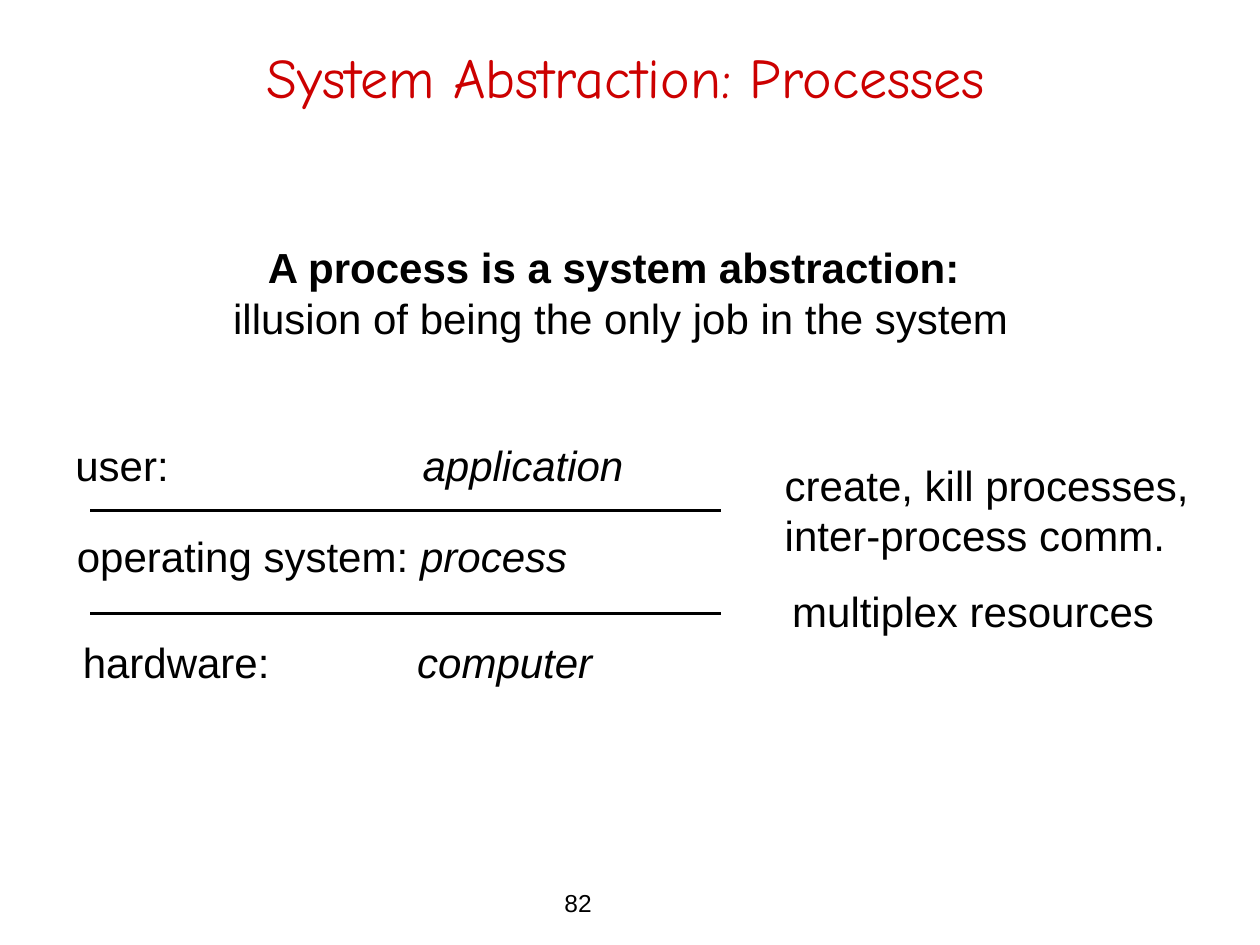
"""Build a slide on processes as a system abstraction."""
import pptx
import pptx.dml.color
import pptx.enum.shapes
import pptx.enum.text
import pptx.oxml.ns
import pptx.util
from lxml import etree
from pptx.util import Cm

BLACK = pptx.dml.color.RGBColor(0, 0, 0)
RED = pptx.dml.color.RGBColor(0xCC, 0, 0)
ALIGN = pptx.enum.text.PP_ALIGN
ANCHOR = pptx.enum.text.MSO_ANCHOR


def add_text_box(slide, left, top, width, height, anchor=ANCHOR.TOP):
    text_box = slide.shapes.add_textbox(Cm(left), Cm(top), Cm(width), Cm(height))
    text_frame = text_box.text_frame
    text_frame.word_wrap = True
    text_frame.vertical_anchor = anchor
    return text_frame


def add_run(paragraph, text, size=24, font="Arial", color=BLACK, bold=False, italic=False):
    run = paragraph.add_run()
    run.text = text
    run.font.size = pptx.util.Pt(size)
    run.font.name = font
    run.font.color.rgb = color
    run.font.bold = bold
    run.font.italic = italic


def set_tab(paragraph, position):
    properties = paragraph._p.get_or_add_pPr()
    tab_list = etree.SubElement(properties, pptx.oxml.ns.qn("a:tabLst"))
    etree.SubElement(tab_list, pptx.oxml.ns.qn("a:tab"), pos=str(Cm(position)), algn="l")


def add_title(slide, text):
    paragraph = add_text_box(slide, 1.12, 0.43, 23.01, 1.9, ANCHOR.BOTTOM).paragraphs[0]
    paragraph.alignment = ALIGN.CENTER
    add_run(paragraph, text, size=32, font="Comic Neue", color=RED)


def add_definition(slide, heading, explanation):
    text_frame = add_text_box(slide, 4.45, 4.75, 16.94, 2.29)
    first = text_frame.paragraphs[0]
    first._p.get_or_add_pPr().set("marL", str(Cm(0.7)))
    add_run(first, heading, bold=True)
    add_run(text_frame.add_paragraph(), explanation)


def add_layer(slide, left, top, label, abstraction, tab):
    paragraph = add_text_box(slide, left, top, 12, 1.27).paragraphs[0]
    set_tab(paragraph, tab)
    add_run(paragraph, label + "\t")
    add_run(paragraph, abstraction, italic=True)


def add_note(slide, left, top, lines):
    text_frame = add_text_box(slide, left, top, 9.4, 1.27 * len(lines))
    for index, line in enumerate(lines):
        paragraph = text_frame.add_paragraph() if index else text_frame.paragraphs[0]
        add_run(paragraph, line)


def add_divider(slide, top):
    line = slide.shapes.add_connector(
        pptx.enum.shapes.MSO_CONNECTOR.STRAIGHT, Cm(1.82), Cm(top), Cm(14.53), Cm(top))
    line.line.color.rgb = BLACK
    line.line.width = pptx.util.Pt(2)
    etree.SubElement(line._element.spPr, pptx.oxml.ns.qn("a:effectLst"))


def add_slide_number(slide, number):
    add_run(add_text_box(slide, 11.13, 17.78, 2.77, 0.86).paragraphs[0], number, size=14)


def main():
    presentation = pptx.Presentation()
    presentation.slide_width = Cm(25.4)
    presentation.slide_height = Cm(19.05)
    slide = presentation.slides.add_slide(presentation.slide_layouts[6])
    add_title(slide, "System Abstraction: Processes")
    add_definition(slide, "A process is a system abstraction:",
                   "illusion of being the only job in the system")
    for top in (10.29, 12.37):
        add_divider(slide, top)
    add_layer(slide, 1.27, 8.74, "user:", "application", 7)
    add_layer(slide, 1.3, 10.57, "operating system:", "process", 6.92)
    add_layer(slide, 1.42, 12.7, "hardware:", "computer", 6.74)
    add_note(slide, 15.57, 9.14, ["create, kill processes,", "inter-process comm."])
    add_note(slide, 15.72, 11.68, ["multiplex resources"])
    add_slide_number(slide, "82")
    presentation.save("out.pptx")


if __name__ == "__main__":
    main()
